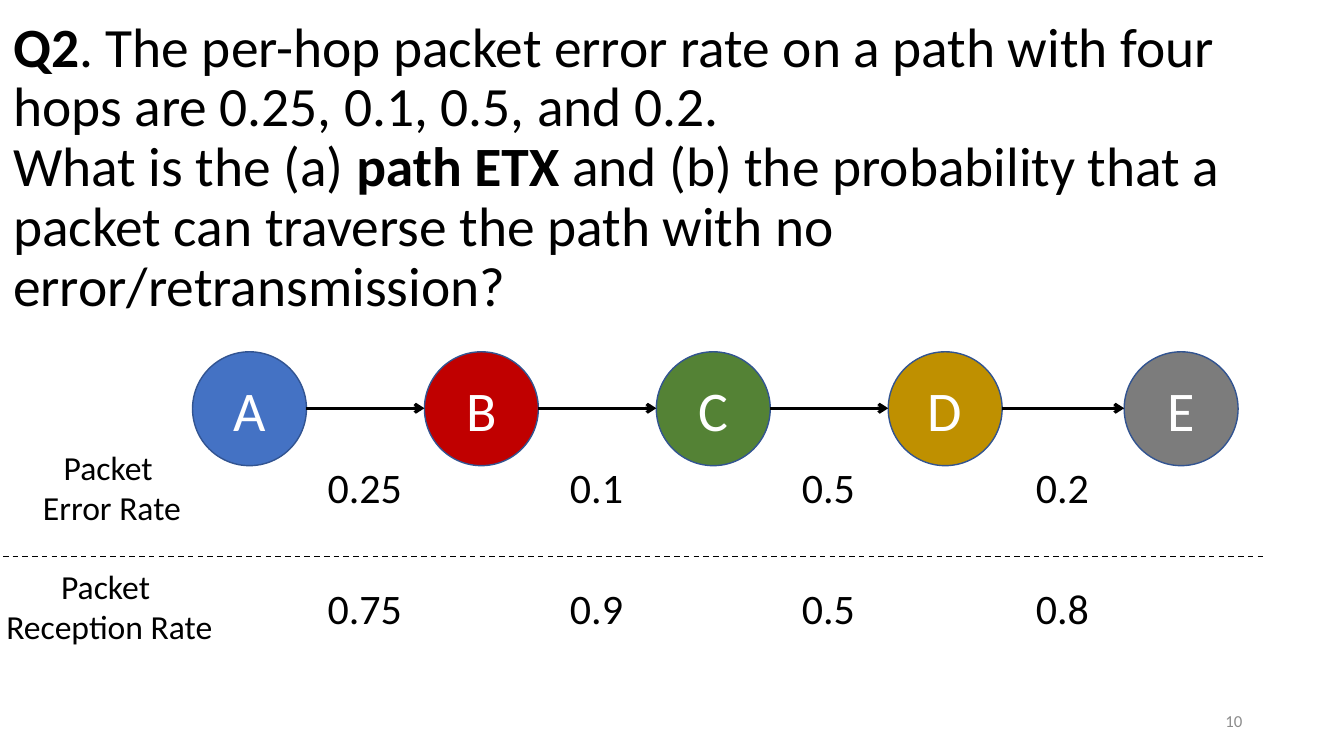
"""Build the slide asking for path ETX and delivery probability over four hops."""
from lxml import etree
from pptx import Presentation
from pptx.dml.color import RGBColor
from pptx.enum.dml import MSO_LINE
from pptx.enum.shapes import MSO_CONNECTOR, MSO_SHAPE
from pptx.enum.text import MSO_ANCHOR, MSO_AUTO_SIZE, PP_ALIGN
from pptx.oxml.ns import qn
from pptx.util import Inches, Pt

OVAL = MSO_SHAPE.OVAL
STRAIGHT = MSO_CONNECTOR.STRAIGHT
DASH = MSO_LINE.DASH
MIDDLE, TOP = MSO_ANCHOR.MIDDLE, MSO_ANCHOR.TOP
LEFT, CENTER, RIGHT = PP_ALIGN.LEFT, PP_ALIGN.CENTER, PP_ALIGN.RIGHT
NO_FIT = MSO_AUTO_SIZE.NONE


def paint(target, color):
    """Set a font, fill or line colour from a hex string."""
    target.rgb = RGBColor.from_string(color)


def write(shape, lines, size, color="000000", align=CENTER, anchor=TOP, wrap=False):
    """Fill a shape with paragraphs made of one run each."""
    frame = shape.text_frame
    frame.word_wrap = wrap
    frame.vertical_anchor = anchor
    for index, line in enumerate(lines):
        paragraph = frame.add_paragraph() if index else frame.paragraphs[0]
        paragraph.alignment = align
        run = paragraph.add_run()
        run.text = line
        run.font.name = "Calibri"
        run.font.size = Pt(size)
        paint(run.font.color, color)


prs = Presentation()
prs.slide_width, prs.slide_height = Inches(13.33), Inches(7.5)
slide = prs.slides.add_slide(prs.slide_layouts[5])
shapes = slide.shapes

question = shapes.title
question.left, question.top = Inches(0.03), Inches(0.15)
question.width, question.height = Inches(13.3), Inches(3.05)
question.text_frame.auto_size = NO_FIT
question.text_frame.word_wrap = True
question.text_frame.vertical_anchor = MIDDLE
wording = question.text_frame.paragraphs[0]
wording.alignment = LEFT
wording.line_spacing = 0.9
for phrase, bold, breaks_after in [
    ("Q2", True, False),
    (". The per-hop packet error rate on a path with four hops are 0.25, 0.1, 0.5, and 0.2. ", False, True),
    ("What is the (a) ", False, False),
    ("path ETX ", True, False),
    ("and (b) the probability that a packet can traverse the path with no error/retransmission?", False, False),
]:
    run = wording.add_run()
    run.text = phrase
    run.font.name = "Calibri"
    run.font.size = Pt(39.6)
    run.font.bold = bold
    paint(run.font.color, "000000")
    if breaks_after:
        wording.add_line_break()

page_number = shapes.add_textbox(Inches(9.42), Inches(6.95), Inches(3), Inches(0.4))
write(page_number, ["10"], 12, "8C8C8C", RIGHT, MIDDLE, True)

DIAMETER, NODE_TOP = 1.13, 3.49
nodes = [
    ("A", 1.91, "4472C4"),
    ("B", 4.21, "C00000"),
    ("C", 6.51, "548235"),
    ("D", 8.81, "BF9000"),
    ("E", 11.15, "7C7C7C"),
]
for letter, left, color in nodes:
    node = shapes.add_shape(OVAL, Inches(left), Inches(NODE_TOP), Inches(DIAMETER), Inches(DIAMETER))
    node.shadow.inherit = False
    node.fill.solid()
    paint(node.fill.fore_color, color)
    paint(node.line.color, "325491")
    node.line.width = Pt(1)
    write(node, [letter], 40, "FFFFFF", CENTER, MIDDLE)

hops = [(start[1] + DIAMETER, end[1]) for start, end in zip(nodes, nodes[1:])]
HOP_Y, DIVIDER_Y = 4.05, 5.52
links = [(begin, end, HOP_Y, 2.25) for begin, end in hops]
links.append((0.03, 12.56, DIVIDER_Y, 1))
for begin, end, y, width in links:
    link = shapes.add_connector(STRAIGHT, Inches(begin), Inches(y), Inches(end), Inches(y))
    paint(link.line.color, "000000")
    link.line.width = Pt(width)
    if y == DIVIDER_Y:
        link.line.dash_style = DASH
    else:
        etree.SubElement(link.line._get_or_add_ln(), qn("a:tailEnd"), type="arrow")
    etree.SubElement(link._element.spPr, qn("a:effectLst"))

error_rates = [0.25, 0.1, 0.5, 0.2]
reception_rates = [1 - rate for rate in error_rates]
for kind, label_left, label_width, label_top, rate_top, rates in [
    ("Error Rate", 0.32, 1.58, 4.38, 4.53, error_rates),
    ("Reception Rate", -0.05, 2.27, 5.56, 5.73, reception_rates),
]:
    label = shapes.add_textbox(Inches(label_left), Inches(label_top), Inches(label_width), Inches(0.91))
    write(label, ["Packet ", kind], 24)
    for (begin, end), rate in zip(hops, rates):
        value = f"{rate:g}"
        box_width = 0.95 if len(value) > 3 else 0.74
        box_left = (begin + end - box_width) / 2
        rate_box = shapes.add_textbox(Inches(box_left), Inches(rate_top), Inches(box_width), Inches(0.61))
        write(rate_box, [value], 30, align=LEFT)

prs.save("out.pptx")
